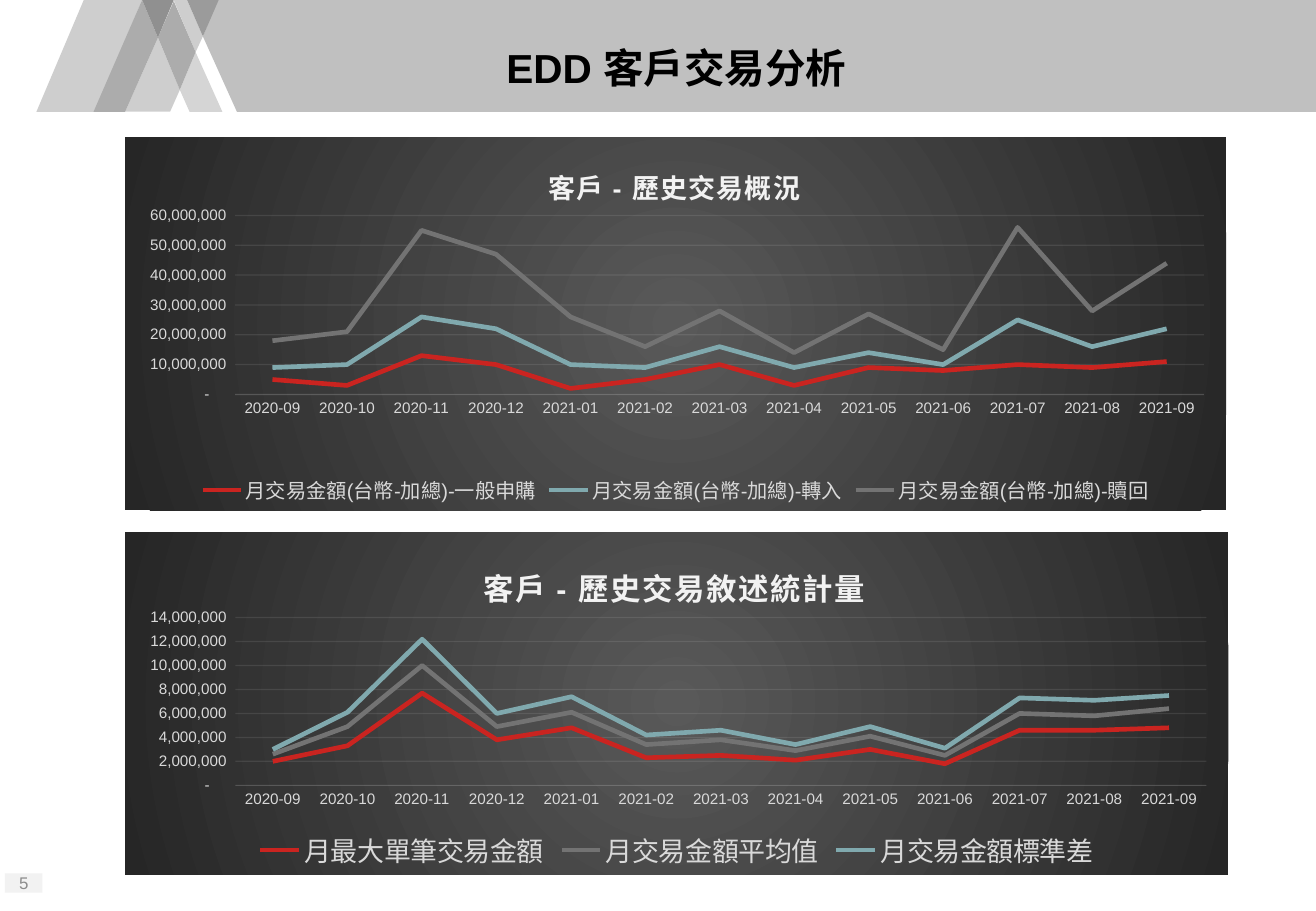
from dataclasses import dataclass

from lxml import etree
from pptx import Presentation
from pptx.chart.chart import Chart
from pptx.chart.data import CategoryChartData
from pptx.dml.color import RGBColor
from pptx.enum.chart import XL_CHART_TYPE, XL_LEGEND_POSITION, XL_MARKER_STYLE, XL_TICK_MARK
from pptx.enum.shapes import MSO_SHAPE
from pptx.enum.text import MSO_ANCHOR, PP_ALIGN
from pptx.oxml import parse_xml
from pptx.oxml.ns import nsdecls, qn
from pptx.util import Inches, Pt

LINE_STACKED = XL_CHART_TYPE.LINE_STACKED
BOTTOM = XL_LEGEND_POSITION.BOTTOM
NO_MARKER = XL_MARKER_STYLE.NONE
NO_TICK = XL_TICK_MARK.NONE
RECTANGLE = MSO_SHAPE.RECTANGLE
MIDDLE = MSO_ANCHOR.MIDDLE
CENTER = PP_ALIGN.CENTER

FONT = "Arial"
NUMBER_FORMAT = '_-* #,##0_-;\\-* #,##0_-;_-* "-"??_-;_-@_'
MILLION = 1_000_000
COLORS = {
    "band": "C0C0C0", "pale": "D5D5D5", "light": "CECECE", "overlap": "ACACAC",
    "shade": "9B9B9B", "dark": "909090", "page_box": "F2F2F2", "page": "8C8C8C",
    "black": "000000", "chart_text": "D9D9D9", "chart_title": "F2F2F2", "grid": "F2F2F2",
    "center": "595959", "edge": "262626",
    "red": "CA2420", "teal": "80A9AE", "gray": "737373",
}
MONTHS = [f"2020-{month:02}" for month in range(9, 13)] + [f"2021-{month:02}" for month in range(1, 10)]


@dataclass
class Facet:
    color: str
    points: list[tuple[float, float]]


@dataclass
class Line:
    name: str
    color: str
    millions: list[float]


@dataclass
class ChartPanel:
    title: str
    title_size: int
    title_place: tuple[float, float]
    legend_size: int
    box: tuple[float, float, float, float]
    plot: tuple[float, float, float, float]
    maximum: int
    step: int
    lines: list[Line]


FACETS = [
    Facet("band", [(1.67, 0.3), (1.95, 0.92), (10.83, 0.92), (10.83, 0), (1.79, 0)]),
    Facet("pale", [(1.61, 0.43), (1.48, 0.74), (1.56, 0.92), (1.83, 0.92)]),
    Facet("light", [(1.54, 0), (1.43, 0), (1.61, 0.43), (1.67, 0.3)]),
    Facet("light", [(1.3, 0.31), (1.03, 0.92), (1.4, 0.92), (1.48, 0.74)]),
    Facet("light", [(1.17, 0), (0.69, 0), (0.3, 0.92), (0.78, 0.92)]),
    Facet("shade", [(1.8, 0), (1.54, 0), (1.67, 0.3)]),
    Facet("overlap", [(1.43, 0.01), (1.3, 0.31), (1.48, 0.74), (1.61, 0.43)]),
    Facet("overlap", [(1.17, 0), (0.77, 0.92), (1.03, 0.92), (1.3, 0.31)]),
    Facet("dark", [(1.43, 0), (1.17, 0), (1.3, 0.31)]),
]

PANELS = [
    ChartPanel(
        "客戶 - 歷史交易概況", 16, (0.38, 0.06), 12,
        (1.03, 1.13, 9.06, 3.07), (0.1, 0.21, 0.88, 0.48), 60, 10,
        [
            Line("月交易金額(台幣-加總)-一般申購", "red", [5, 3, 13, 10, 2, 5, 10, 3, 9, 8, 10, 9, 11]),
            Line("月交易金額(台幣-加總)-轉入", "teal", [4, 7, 13, 12, 8, 4, 6, 6, 5, 2, 15, 7, 11]),
            Line("月交易金額(台幣-加總)-贖回", "gray", [9, 11, 29, 25, 16, 7, 12, 5, 13, 5, 31, 12, 22]),
        ],
    ),
    ChartPanel(
        "客戶 - 歷史交易敘述統計量", 18, (0.32, 0.07), 16,
        (1.03, 4.38, 9.08, 2.82), (0.1, 0.25, 0.88, 0.49), 14, 2,
        [
            Line("月最大單筆交易金額", "red",
                 [2, 3.3, 7.7, 3.8, 4.8, 2.3, 2.5, 2.1, 3, 1.8, 4.6, 4.6, 4.8]),
            Line("月交易金額平均值", "gray",
                 [0.6, 1.6, 2.3, 1.1, 1.3, 1.1, 1.3, 0.8, 1.1, 0.7, 1.4, 1.2, 1.6]),
            Line("月交易金額標準差", "teal",
                 [0.4, 1.2, 2.2, 1.1, 1.3, 0.8, 0.8, 0.5, 0.8, 0.6, 1.3, 1.3, 1.1]),
        ],
    ),
]


def rgb(name: str) -> RGBColor:
    return RGBColor.from_string(COLORS[name])


def set_font(font, size: float, color: str, bold: bool = False) -> None:
    font.name, font.size, font.bold = FONT, Pt(size), bold
    font.color.rgb = rgb(color)


def paint(shape, color: str) -> None:
    shape.shadow.inherit = False
    shape.fill.solid()
    shape.fill.fore_color.rgb = rgb(color)
    shape.line.fill.background()


def add_facet(slide, facet: Facet) -> None:
    start, *others = [(Inches(x), Inches(y)) for x, y in facet.points]
    builder = slide.shapes.build_freeform(*start)
    builder.add_line_segments(others, close=True)
    paint(builder.convert_to_shape(), facet.color)


def write_centered(shape, text: str, size: float, color: str, bold: bool = False) -> None:
    frame = shape.text_frame
    frame.word_wrap = True
    frame.vertical_anchor = MIDDLE
    frame.margin_left = frame.margin_right = frame.margin_top = frame.margin_bottom = 0
    paragraph = frame.paragraphs[0]
    paragraph.text = text
    paragraph.alignment = CENTER
    set_font(paragraph.font, size, color, bold)


def manual_layout(place: tuple[float, ...], inner: bool = False):
    target = '<c:layoutTarget val="inner"/>' if inner else ""
    modes = '<c:xMode val="edge"/><c:yMode val="edge"/>'
    values = "".join(f'<c:{tag} val="{value}"/>' for tag, value in zip("xywh", place))
    return parse_xml(f'<c:layout {nsdecls("c")}><c:manualLayout>{target}{modes}{values}'
                     "</c:manualLayout></c:layout>")


def style_axes(chart: Chart, panel: ChartPanel) -> None:
    for axis in (chart.category_axis, chart.value_axis):
        axis.major_tick_mark = axis.minor_tick_mark = NO_TICK
        set_font(axis.tick_labels.font, 9, "chart_text")
    value_axis = chart.value_axis
    value_axis.minimum_scale, value_axis.maximum_scale = 0, panel.maximum * MILLION
    value_axis.major_unit = panel.step * MILLION
    value_axis.tick_labels.number_format = NUMBER_FORMAT
    value_axis.tick_labels.number_format_is_linked = False
    value_axis.format.line.fill.background()
    for line in (chart.category_axis.format.line, value_axis.major_gridlines.format.line):
        line.width = Pt(0.75)
        line.color.rgb = rgb("grid")
    for color in chart.element.xpath(".//c:plotArea/*/descendant::a:ln/a:solidFill/a:srgbClr"):
        etree.SubElement(color, qn("a:alpha")).set("val", "10000")


def add_chart_panel(slide, panel: ChartPanel) -> None:
    data = CategoryChartData(number_format=NUMBER_FORMAT)
    data.categories = MONTHS
    for line in panel.lines:
        data.add_series(line.name, [round(value * MILLION) for value in line.millions])
    box = [Inches(length) for length in panel.box]
    chart = slide.shapes.add_chart(LINE_STACKED, *box, data).chart
    set_font(chart.font, 10, "black")
    style_axes(chart, panel)

    # Title and legend
    chart.has_title = True
    paragraph = chart.chart_title.text_frame.paragraphs[0]
    paragraph.text = panel.title
    set_font(paragraph.font, panel.title_size, "chart_title", True)
    paragraph.runs[0].font.bold = True
    for properties in chart.element.xpath(".//c:title//a:defRPr | .//c:title//a:rPr"):
        properties.set("spc", "100")
    chart.has_legend = True
    chart.legend.position = BOTTOM
    chart.legend.include_in_layout = False
    set_font(chart.legend.font, panel.legend_size, "chart_text")

    # Series lines
    for series, line in zip(chart.plots[0].series, panel.lines):
        series.smooth = False
        series.marker.style = NO_MARKER
        series.format.line.width = Pt(2.75)
        series.format.line.color.rgb = rgb(line.color)

    # Title place, plot place and radial background
    for layout in chart.element.xpath(".//c:title/c:layout | .//c:plotArea/c:layout"):
        layout.getparent().remove(layout)
    chart.element.xpath(".//c:title/c:tx")[0].addnext(manual_layout(panel.title_place))
    chart.element.xpath(".//c:plotArea")[0].insert(0, manual_layout(panel.plot, inner=True))
    stops = "".join(f'<a:gs pos="{position}"><a:srgbClr val="{COLORS[name]}"/></a:gs>'
                    for position, name in ((0, "center"), (100000, "edge")))
    chart.element.xpath("c:chart")[0].addnext(parse_xml(
        f'<c:spPr {nsdecls("c", "a")}><a:gradFill><a:gsLst>{stops}</a:gsLst><a:path path="circle">'
        '<a:fillToRect l="50000" t="50000" r="50000" b="50000"/></a:path></a:gradFill>'
        "<a:ln><a:noFill/></a:ln></c:spPr>"))


def main() -> None:
    presentation = Presentation()
    presentation.slide_width, presentation.slide_height = Inches(10.83), Inches(7.5)
    slide = presentation.slides.add_slide(presentation.slide_layouts[6])

    # Header band and page number
    for facet in FACETS:
        add_facet(slide, facet)
    page = slide.shapes.add_shape(RECTANGLE, Inches(0.04), Inches(7.19), Inches(0.31), Inches(0.16))
    paint(page, "page_box")
    write_centered(page, "5", 10, "page")

    # Title and charts
    title = slide.shapes.add_textbox(Inches(2.1), Inches(0.16), Inches(6.93), Inches(0.79))
    write_centered(title, "EDD 客戶交易分析", 24, "black", True)
    for panel in PANELS:
        add_chart_panel(slide, panel)
    presentation.save("out.pptx")


if __name__ == "__main__":
    main()
